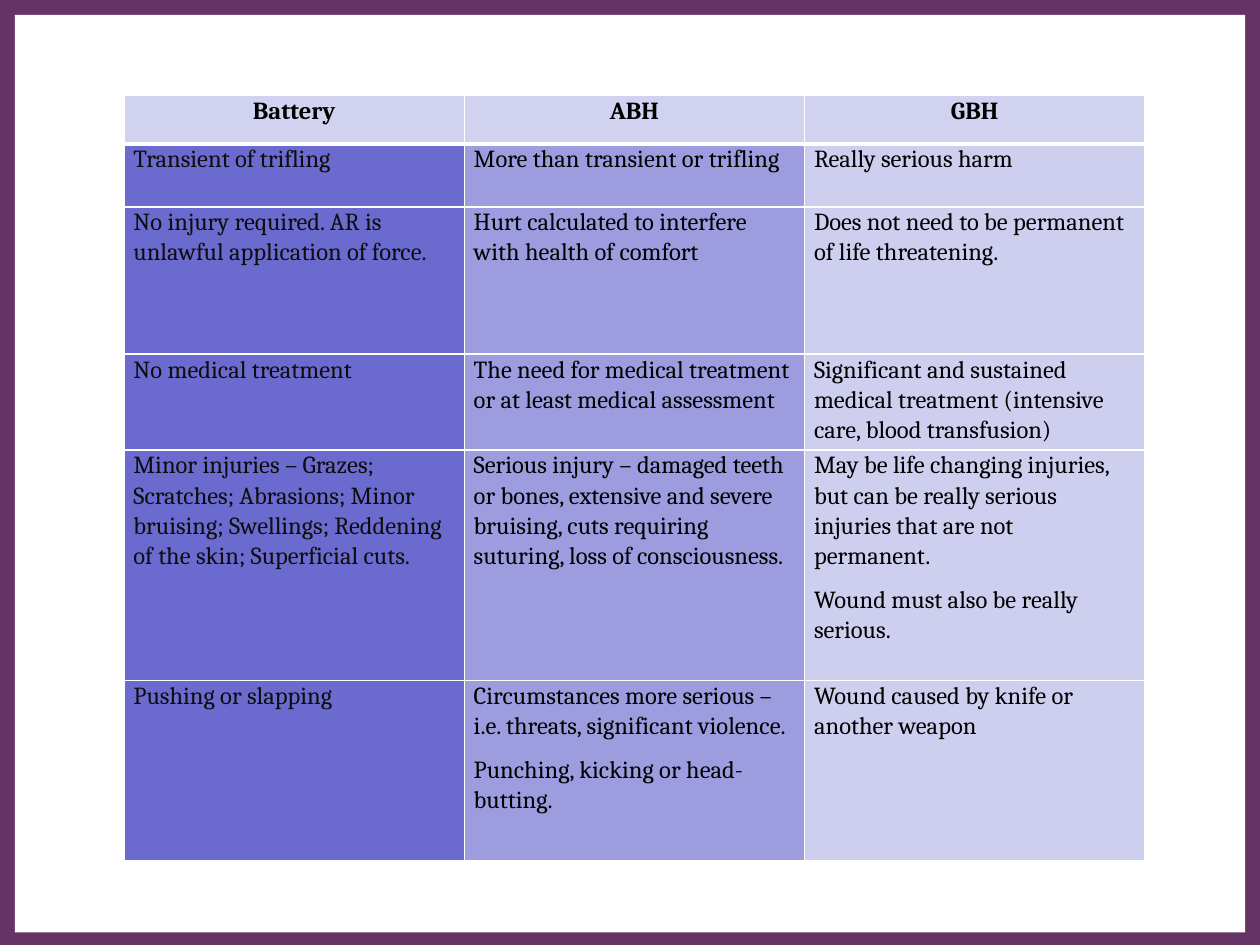
"""Comparison table of battery, ABH and GBH on a framed slide."""
from lxml.etree import SubElement
from pptx import Presentation
from pptx.dml.color import RGBColor
from pptx.enum.shapes import MSO_SHAPE
from pptx.enum.text import PP_ALIGN
from pptx.oxml.ns import qn
from pptx.util import Cm, Pt

COLORS = {
    "frame": "663366", "white": "FFFFFF", "black": "000000", "ink": "0D0D0D",
    "header": "D1D1F0", "battery": "6B6BCF", "abh": "9C9CDF", "gbh": "CECEEF",
}
COLUMN_FILLS = ["battery", "abh", "gbh"]
COLUMN_INKS = ["ink", "black", "black"]
COLUMN_WIDTH = 6.86
ROW_HEIGHTS = [0.97, 1.27, 2.97, 1.93, 4.65, 3.63]
ROWS = [
    ["Battery", "ABH", "GBH"],
    ["Transient of trifling", "More than transient or trifling", "Really serious harm"],
    ["No injury required. AR is unlawful application of force.",
     "Hurt calculated to interfere with health of comfort",
     "Does not need to be permanent of life threatening."],
    ["No medical treatment",
     "The need for medical treatment or at least medical assessment",
     "Significant and sustained medical treatment (intensive care, blood transfusion)"],
    ["Minor injuries – Grazes; Scratches; Abrasions; Minor bruising; Swellings; "
     "Reddening of the skin; Superficial cuts.",
     "Serious injury – damaged teeth or bones, extensive and severe bruising, "
     "cuts requiring suturing, loss of consciousness.",
     "May be life changing injuries, but can be really serious injuries "
     "that are not permanent.\nWound must also be really serious."],
    ["Pushing or slapping",
     "Circumstances more serious – i.e. threats, significant violence.\n"
     "Punching, kicking or head-butting.",
     "Wound caused by knife or another weapon"],
]


def rgb(name):
    return RGBColor.from_string(COLORS[name])


def write(tf, text, font="Cambria", size=14, color="black", bold=False,
          align=PP_ALIGN.LEFT, spacing=1.07, after=8):
    tf.text = text
    for p in tf.paragraphs:
        p.alignment = align
        p.line_spacing = spacing
        p.space_after = Pt(after)
        for r in p.runs:
            r.font.name = font
            r.font.size = Pt(size)
            r.font.bold = bold
            r.font.color.rgb = rgb(color)


class Deck:
    def __init__(self, s, border="white", inset=0.19):
        self.s = s
        self.border = border
        self.inset = Cm(inset)

    def rect(self, x, y, w, h, fill):
        sp = self.s.shapes.add_shape(MSO_SHAPE.RECTANGLE, Cm(x), Cm(y), Cm(w), Cm(h))
        sp.shadow.inherit = False
        sp.fill.solid()
        sp.fill.fore_color.rgb = rgb(fill)
        sp.line.fill.background()

    def borders(self, cell, bottom):
        tcPr = cell._tc.get_or_add_tcPr()
        fill = tcPr[0]
        for side, width in (("L", 1), ("R", 1), ("T", 1), ("B", bottom)):
            ln = SubElement(tcPr, qn(f"a:ln{side}"), w=str(Pt(width)))
            solid = SubElement(ln, qn("a:solidFill"))
            SubElement(solid, qn("a:srgbClr"), val=COLORS[self.border])
        tcPr.append(fill)

    def cell(self, cell, text, fill, bottom=1, **style):
        cell.margin_left = cell.margin_right = self.inset
        cell.margin_top = cell.margin_bottom = 0
        cell.fill.solid()
        cell.fill.fore_color.rgb = rgb(fill)
        self.borders(cell, bottom)
        write(cell.text_frame, text, **style)

    def table(self, x, y, col_width, heights, rows):
        n = len(rows[0])
        tbl = self.s.shapes.add_table(
            len(rows), n, Cm(x), Cm(y), Cm(col_width * n), Cm(sum(heights))).table
        for col in tbl.columns:
            col.width = Cm(col_width)
        for i, (height, row) in enumerate(zip(heights, rows)):
            tbl.rows[i].height = Cm(height)
            for j, text in enumerate(row):
                if i == 0:
                    self.cell(tbl.cell(i, j), text, "header", bottom=3,
                              bold=True, align=PP_ALIGN.CENTER)
                else:
                    self.cell(tbl.cell(i, j), text, COLUMN_FILLS[j], color=COLUMN_INKS[j])


def main():
    prs = Presentation()
    prs.slide_width, prs.slide_height = Cm(25.4), Cm(19.05)
    deck = Deck(prs.slides.add_slide(prs.slide_layouts[6]))
    deck.rect(0, 0, 25.4, 19.1, "frame")
    deck.rect(0.3, 0.3, 24.8, 18.5, "white")
    deck.table(2.5, 1.93, COLUMN_WIDTH, ROW_HEIGHTS, ROWS)
    prs.save("out.pptx")


if __name__ == "__main__":
    main()
